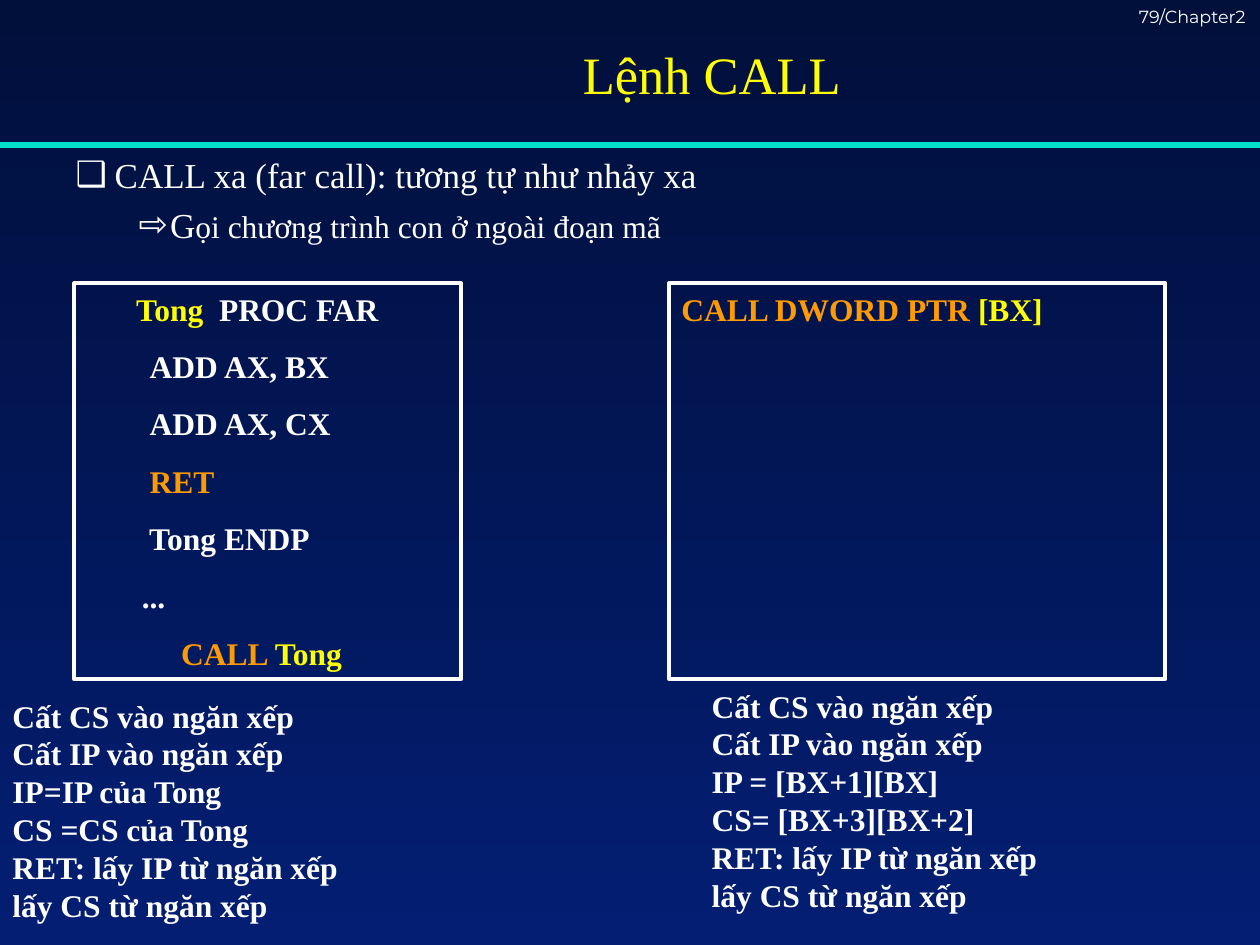
from lxml import etree
from pptx import Presentation
from pptx.dml.color import RGBColor
from pptx.enum.shapes import MSO_CONNECTOR, MSO_SHAPE
from pptx.enum.text import MSO_ANCHOR, MSO_AUTO_SIZE, PP_ALIGN
from pptx.oxml.ns import qn
from pptx.util import Inches, Pt

LINE, RECT = MSO_CONNECTOR.STRAIGHT, MSO_SHAPE.RECTANGLE
LEFT, CENTER = PP_ALIGN.LEFT, PP_ALIGN.CENTER
TOP, MIDDLE = MSO_ANCHOR.TOP, MSO_ANCHOR.MIDDLE
NO_FIT = MSO_AUTO_SIZE.NONE

HEX = {"white": "FFFFFF", "yellow": "FFFF00", "orange": "FF9B00",
       "teal": "00DFCA", "night": "010F3B", "navy": "031E73"}
SERIF, SANS = "Times New Roman", "Montserrat"

# A paragraph is a list of runs; a run is (text, changes to the box format).
YELLOW, ORANGE = {"color": "yellow"}, {"color": "orange"}
PAGE = [[("79/Chapter2", {})]]
TITLE = [[("Lệnh CALL", {})]]
POINTS = [
    [("CALL xa (far call): tương tự như nhảy xa", {})],
    [("G", {}), ("ọi chương trình con ở ngoài đoạn mã", {"size": 18})],
]
# bullet, left margin, hanging indent, space before
LEVELS = [("❑", 0.81, 0.31, 0), ("⇨", 1.25, 0.25, 4.5)]
NEAR = [
    [("      ", {"font": SANS, "bold": False}), ("Tong", YELLOW), ("  PROC FAR", {})],
    [("\tADD AX, BX", {})],
    [("\tADD AX, CX", {})],
    [("\tRET", ORANGE)],
    [("        Tong ENDP", {})],
    [("       ...", {})],
    [("            ", {}), ("CALL ", ORANGE), ("Tong", YELLOW)],
]
FAR = [[("CALL DWORD PTR ", ORANGE), ("[BX]", YELLOW)]]
CODE = [(0.59, 3.07, NEAR), (5.31, 3.94, FAR)]  # left, width, text

PUSH = ["Cất CS vào ngăn xếp", "Cất IP vào ngăn xếp"]
POP = ["RET: lấy IP từ ngăn xếp", "lấy CS từ ngăn xếp"]
STEPS = [  # left, top, lines between push and pop
    (0, 5.48, ["IP=IP của Tong", "CS =CS của Tong"]),
    (5.55, 5.4, ["IP = [BX+1][BX]", "CS= [BX+3][BX+2]"]),
]


def rgb(name):
    return RGBColor.from_string(HEX[name])


def write(shape, paras, size=18, font=SERIF, color="white", bold=False,
          align=LEFT, anchor=TOP, gap=0, wrap=True):
    base = {"size": size, "font": font, "color": color, "bold": bold}
    frame = shape.text_frame
    frame.word_wrap, frame.auto_size = wrap, NO_FIT
    frame.vertical_anchor = anchor
    for i, runs in enumerate(paras):
        para = frame.add_paragraph() if i else frame.paragraphs[0]
        para.alignment = align
        para.space_before = Pt(gap if i else 0)
        for text, change in runs:
            look = {**base, **change}
            run = para.add_run()
            run.text = text
            run.font.size, run.font.name = Pt(look["size"]), look["font"]
            run.font.bold = look["bold"]
            run.font.color.rgb = rgb(look["color"])


def place(shape, *box):
    shape.left, shape.top, shape.width, shape.height = map(Inches, box)
    return shape


def bullet(para, char, margin, hang):
    props = para._p.get_or_add_pPr()
    props.set("marL", str(Inches(margin)))
    props.set("indent", str(-Inches(hang)))
    tint = etree.SubElement(props, qn("a:buClr"))
    etree.SubElement(tint, qn("a:srgbClr"), val=HEX["white"])
    etree.SubElement(props, qn("a:buChar"), char=char)


def main():
    deck = Presentation()
    deck.slide_width, deck.slide_height = Inches(10), Inches(7.5)
    slide = deck.slides.add_slide(deck.slide_layouts[1])
    shapes = slide.shapes

    fill = slide.background.fill
    fill.gradient()
    fill.gradient_angle = 270
    for stop, name in zip(fill.gradient_stops, ("night", "navy")):
        stop.color.rgb = rgb(name)

    rule = shapes.add_connector(LINE, Inches(0), Inches(1.15), Inches(10), Inches(1.15))
    rule.line.color.rgb, rule.line.width = rgb("teal"), Pt(3)
    etree.SubElement(rule._element.spPr, qn("a:effectLst"))

    def label(*box):
        return shapes.add_textbox(*map(Inches, box))

    write(label(8.94, 0, 1.46, 0.25), PAGE, size=10, font=SANS)
    write(place(shapes.title, 1.3, 0, 8.7, 1.17), TITLE, size=30,
          color="yellow", align=CENTER, anchor=MIDDLE)

    body = place(slide.placeholders[1], 0, 1.17, 10, 6.33)
    write(body, POINTS, size=20)
    for para, (char, margin, hang, gap) in zip(body.text_frame.paragraphs, LEVELS):
        bullet(para, char, margin, hang)
        para.space_before = Pt(gap)
    body.text_frame.paragraphs[1].level = 1

    for left, width, paras in CODE:
        box = shapes.add_shape(RECT, *map(Inches, (left, 2.25, width, 3.14)))
        box.shadow.inherit = False
        box.fill.background()
        box.line.color.rgb, box.line.width = rgb("white"), Pt(2.25)
        write(box, paras, bold=True, gap=11.2)

    for left, top, middle in STEPS:
        lines = [[(text, {})] for text in PUSH + middle + POP]
        write(label(left, top, 2.81, 1.9), lines, bold=True, wrap=False)

    deck.save("out.pptx")


if __name__ == "__main__":
    main()
